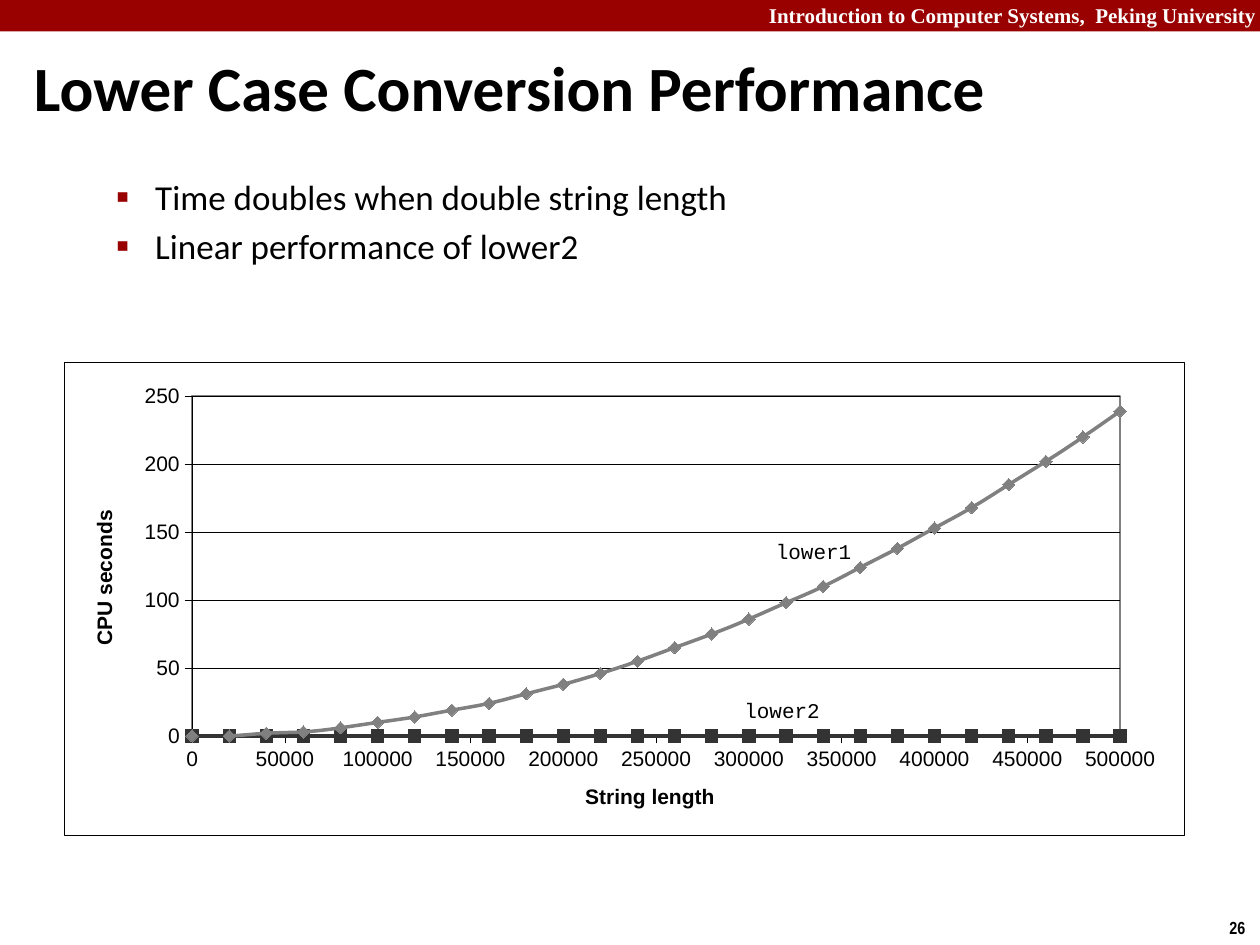
from dataclasses import dataclass

import pptx
import pptx.chart.data
import pptx.dml.color
import pptx.enum.chart
import pptx.enum.shapes
import pptx.enum.text
import pptx.oxml
import pptx.oxml.ns
import pptx.util

Pt = pptx.util.Pt
qn = pptx.oxml.ns.qn
RGB = pptx.dml.color.RGBColor.from_string
ALIGN = pptx.enum.text.PP_ALIGN
MARKER = pptx.enum.chart.XL_MARKER_STYLE


@dataclass(frozen=True)
class Theme:
    accent: str = "990000"
    ink: str = "000000"
    paper: str = "FFFFFF"
    lower1: str = "808080"
    lower2: str = "333333"
    title_size: int = 36
    body_size: int = 20
    small_size: int = 12
    number_size: int = 10
    heading_font: str = "Calibri"
    banner_font: str = "Times New Roman"
    number_font: str = "Arial Narrow"
    chart_font: str = "Arial"
    code_font: str = "Courier New"


THEME = Theme()
LOWER1_SECONDS = [0, 0, 2, 3, 6, 10, 14, 19, 24, 31, 38, 46, 55, 65, 75, 86,
                  98, 110, 124, 138, 153, 168, 185, 202, 220, 239]
LENGTH_STEP = 20000


def style(font, name, size, color=THEME.ink, bold=False):
    font.name, font.size, font.bold = name, Pt(size), bold
    font.color.rgb = RGB(color)


def place(shape, box):
    shape.left, shape.top, shape.width, shape.height = map(Pt, box)


def add_label(slide, box, text, look, align=ALIGN.LEFT, wrap=False, inset=None):
    """Add one line of text; look holds the arguments of style, inset is left/top."""
    frame = slide.shapes.add_textbox(*map(Pt, box)).text_frame
    frame.word_wrap = wrap
    if inset is not None:
        frame.margin_left = frame.margin_top = Pt(inset)
        frame.margin_right = frame.margin_bottom = 0
    frame.text = text
    frame.paragraphs[0].alignment = align
    style(frame.paragraphs[0].runs[0].font, *look)


def add_banner(slide, box):
    left, top, width, height = box
    band = slide.shapes.add_shape(
        pptx.enum.shapes.MSO_SHAPE.RECTANGLE, *map(Pt, box))
    band.shadow.inherit = False
    band.fill.solid()
    band.fill.fore_color.rgb = RGB(THEME.accent)
    band.line.fill.background()
    add_label(slide, (left + width - 288, top - 2.2, 293, 21.6),
              "Introduction to Computer Systems,  Peking University ",
              (THEME.banner_font, THEME.small_size, THEME.paper, True),
              ALIGN.RIGHT, wrap=True)


def set_indent(paragraph, margin, hanging):
    properties = paragraph._p.get_or_add_pPr()
    properties.set("marL", str(Pt(margin)))
    properties.set("indent", str(-Pt(hanging)))
    return properties


def fill_title(slide, box, text):
    title = slide.shapes.title
    place(title, box)
    frame = title.text_frame
    frame.text = text
    frame.auto_size = pptx.enum.text.MSO_AUTO_SIZE.NONE
    frame.vertical_anchor = pptx.enum.text.MSO_ANCHOR.MIDDLE
    heading = frame.paragraphs[0]
    set_indent(heading, 9.4, 9.4)
    heading.alignment = ALIGN.LEFT
    style(heading.runs[0].font, THEME.heading_font, THEME.title_size, bold=True)


def fill_findings(slide, box, findings):
    body = slide.placeholders[1]
    place(body, box)
    frame = body.text_frame
    frame.text = "\n".join(findings)
    frame.auto_size = pptx.enum.text.MSO_AUTO_SIZE.NONE
    namespace = pptx.oxml.ns.nsdecls("a")
    for index, finding in enumerate(frame.paragraphs):
        finding.level = 1
        properties = set_indent(finding, 58.5, 22.5)
        for bullet in (
                f'<a:buClr {namespace}><a:srgbClr val="{THEME.accent}"/></a:buClr>',
                f'<a:buSzPct {namespace} val="110000"/>',
                f'<a:buChar {namespace} char="▪"/>'):
            properties.append(pptx.oxml.parse_xml(bullet))
        finding.space_before = Pt(4 if index else 0)
        style(finding.runs[0].font, THEME.heading_font, THEME.body_size)


def outline_xml(fill, line, width):
    return pptx.oxml.parse_xml(
        f'<c:spPr {pptx.oxml.ns.nsdecls("c", "a")}>{fill}<a:ln w="{Pt(width)}">'
        f'<a:solidFill><a:srgbClr val="{line}"/></a:solidFill></a:ln></c:spPr>')


def frame_chart(chart, plot_box):
    """Fill and outline the chart, and fix the inner plot area as fractions."""
    space = chart._chartSpace
    plot_area = space.chart.plotArea
    paper = f'<a:solidFill><a:srgbClr val="{THEME.paper}"/></a:solidFill>'
    space.chart.addnext(outline_xml(paper, THEME.ink, 0.25))
    plot_area.append(outline_xml("<a:noFill/>", THEME.lower1, 1))
    for old in plot_area.findall(qn("c:layout")):
        plot_area.remove(old)
    sizes = "".join(f'<c:{key} val="{value}"/>' for key, value in zip("xywh", plot_box))
    plot_area.insert(0, pptx.oxml.parse_xml(
        f'<c:layout {pptx.oxml.ns.nsdecls("c")}><c:manualLayout>'
        '<c:layoutTarget val="inner"/><c:xMode val="edge"/><c:yMode val="edge"/>'
        f'{sizes}</c:manualLayout></c:layout>'))


def format_axis(axis, title, maximum, step):
    axis.minimum_scale, axis.maximum_scale, axis.major_unit = 0, maximum, step
    axis.major_tick_mark = pptx.enum.chart.XL_TICK_MARK.OUTSIDE
    axis.minor_tick_mark = pptx.enum.chart.XL_TICK_MARK.NONE
    axis.tick_labels.number_format = "0"
    axis.tick_labels.number_format_is_linked = False
    style(axis.tick_labels.font, THEME.chart_font, THEME.small_size)
    axis.axis_title.text_frame.text = title
    style(axis.axis_title.text_frame.paragraphs[0].runs[0].font,
          THEME.chart_font, THEME.small_size, bold=True)
    axis.format.line.color.rgb = RGB(THEME.ink)
    axis.format.line.width = Pt(0.25)


def format_series(series, color, marker):
    series.format.line.color.rgb = RGB(color)
    series.format.line.width = Pt(2)
    series.marker.style, series.marker.size = marker, 7
    series.marker.format.fill.solid()
    series.marker.format.fill.fore_color.rgb = RGB(color)
    series.marker.format.line.color.rgb = RGB(color)
    series._element.get_or_add_smooth().val = True


def add_timing_chart(slide, box):
    left, top, width, height = box
    data = pptx.chart.data.XyChartData()
    for name, timings in (("Series 1", LOWER1_SECONDS),
                          ("Series 2", [0] * len(LOWER1_SECONDS))):
        points = data.add_series(name)
        for index, seconds in enumerate(timings):
            points.add_data_point(index * LENGTH_STEP, seconds)
    chart = slide.shapes.add_chart(
        pptx.enum.chart.XL_CHART_TYPE.XY_SCATTER_SMOOTH, *map(Pt, box), data).chart
    chart.has_title = chart.has_legend = False
    style(chart.font, THEME.chart_font, THEME.small_size)
    frame_chart(chart, (0.114, 0.073, 0.829, 0.718))

    format_axis(chart.category_axis, "String length", 500000, 50000)
    format_axis(chart.value_axis, "CPU seconds", 250, 50)
    chart.category_axis.has_major_gridlines = False
    gridline = chart.value_axis.major_gridlines.format.line
    gridline.color.rgb, gridline.width = RGB(THEME.ink), Pt(0.25)

    plot = chart.plots[0]
    plot.vary_by_categories = False
    lower1, lower2 = plot.series
    format_series(lower1, THEME.lower1, MARKER.DIAMOND)
    format_series(lower2, THEME.lower2, MARKER.SQUARE)
    for name, x, y in (("lower1", 404.6, 99.4), ("lower2", 386.6, 190.1)):
        add_label(slide, (left + x, top + y, 46, 17), name,
                  (THEME.code_font, THEME.small_size), inset=2)


def main():
    deck = pptx.Presentation()
    deck.slide_width, deck.slide_height = Pt(720), Pt(540)
    slide = deck.slides.add_slide(deck.slide_layouts[1])
    add_banner(slide, (0, 0, 720, 18))
    add_label(slide, (695.5, 520.6, 24.5, 19.4), "26",
              (THEME.number_font, THEME.number_size, THEME.ink, True))
    fill_title(slide, (12.2, 26.6, 690, 45.4), "Lower Case Conversion Performance")
    fill_findings(slide, (23, 96.5, 654.5, 71.3),
                  ["Time doubles when double string length",
                   "Linear performance of lower2"])
    add_timing_chart(slide, (36.7, 206.6, 640, 270.7))
    deck.save("out.pptx")


if __name__ == "__main__":
    main()
